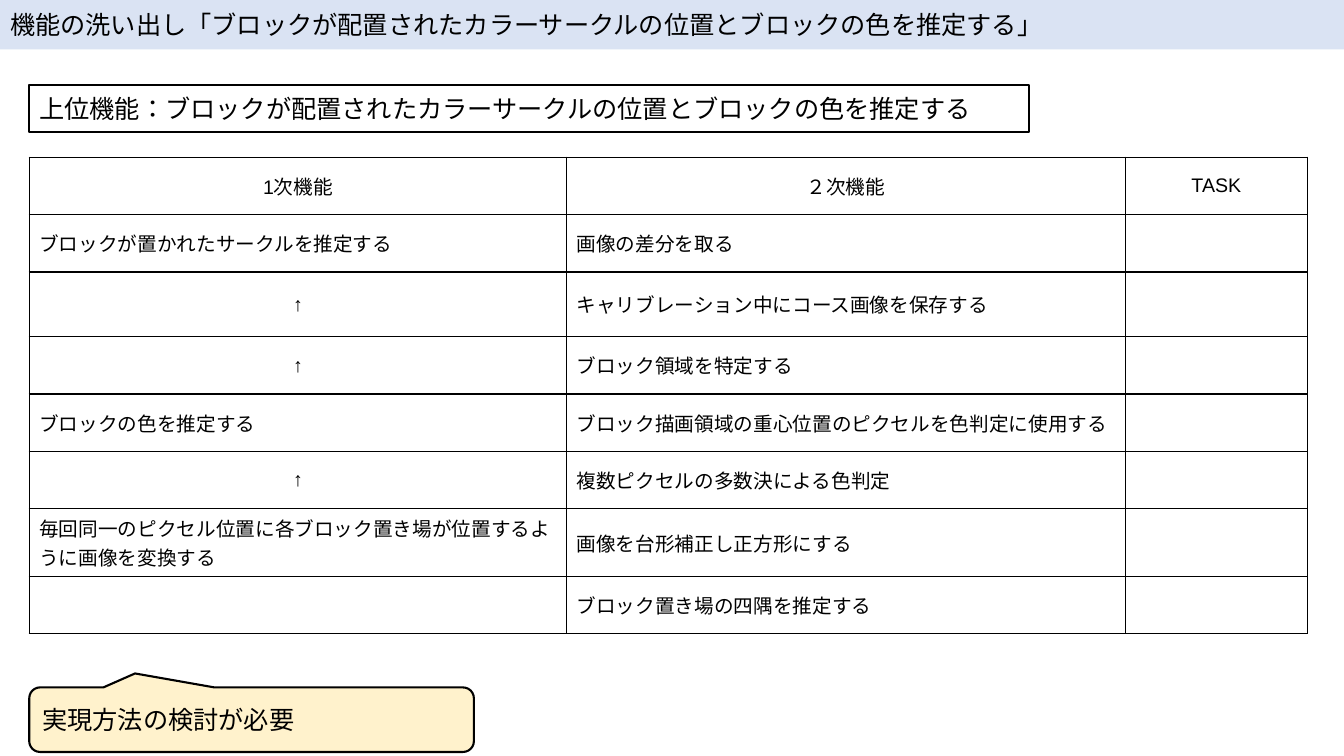
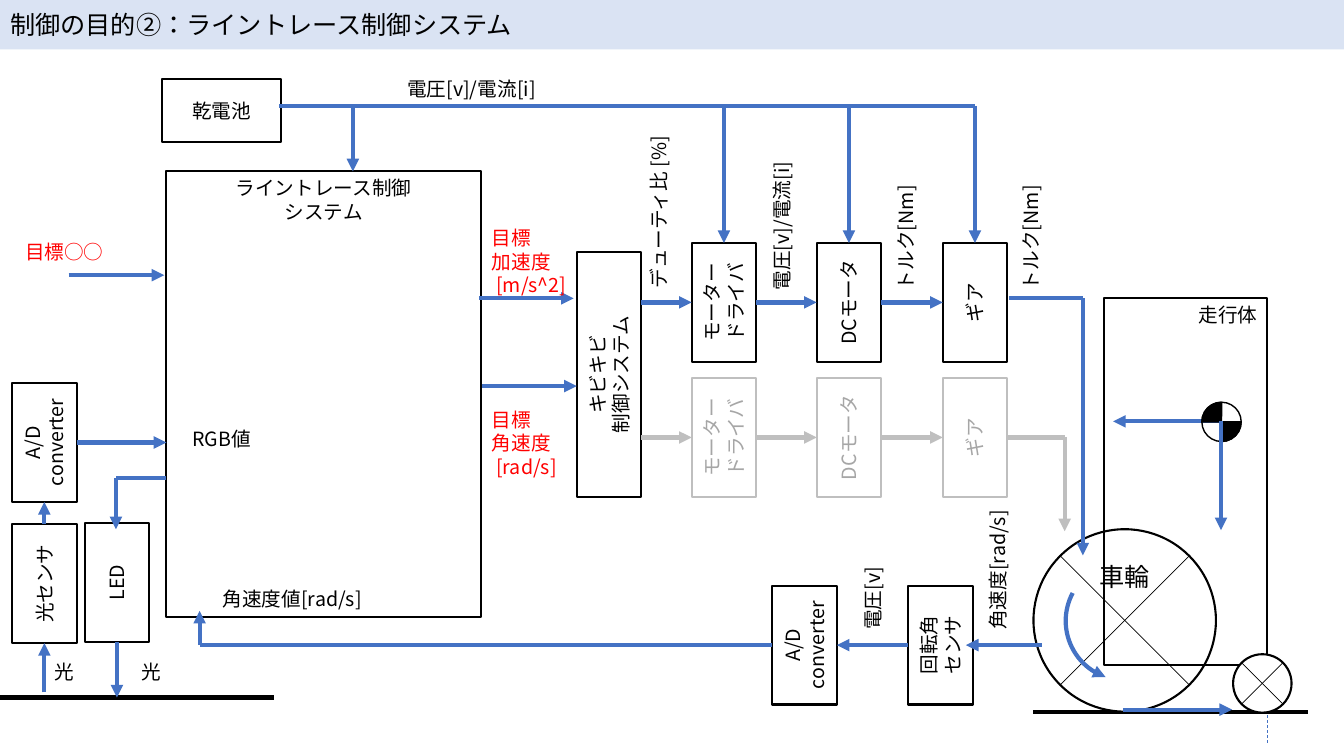
import dataclasses
import itertools
import typing

import lxml.etree
import pptx
import pptx.dml.color
import pptx.enum.dml
import pptx.enum.lang
import pptx.enum.shapes
import pptx.enum.text
import pptx.oxml.ns
import pptx.util

SHAPE = pptx.enum.shapes.MSO_SHAPE
ALIGN = pptx.enum.text.PP_ALIGN
ANCHOR = pptx.enum.text.MSO_ANCHOR
TOP, LEFT, BOTTOM, RIGHT = range(4)
PX = 9144  # 100 px to the inch
TITLE_ONLY = 5


@dataclasses.dataclass(frozen=True)
class Theme:
    black: str = "000000"
    white: str = "FFFFFF"
    band: str = "DAE3F3"
    note: str = "FFF2CC"
    signal: str = "4472C4"
    target: str = "FF0000"
    idle: str = "BFBFBF"
    idle_text: str = "A6A6A6"
    font: str = "Noto Sans CJK JP"
    table_font: str = "Arial"
    large: int = 18
    small: int = 14
    outline: float = 1.5
    hair: float = 0.5
    flow: int = 3


THEME = Theme()


class Joint(typing.NamedTuple):
    block: object
    site: int


# ---- Shared formatting ----
def px(*lengths):
    return [pptx.util.Emu(length * PX) for length in lengths]


def rgb(value):
    return pptx.dml.color.RGBColor.from_string(value)


def assign(target, values):
    for name, value in values.items():
        setattr(target, name, value)


def sub(parent, tag, **attributes):
    return lxml.etree.SubElement(parent, pptx.oxml.ns.qn(tag), attributes)


def paint(fill, color):
    if color is None:
        fill.background()
    else:
        fill.solid()
        fill.fore_color.rgb = rgb(color)


def write(frame, text, size=THEME.small, color=THEME.black, align=ALIGN.LEFT,
          anchor=ANCHOR.MIDDLE, font=THEME.font):
    assign(frame, {"word_wrap": True, "vertical_anchor": anchor})
    for index, words in enumerate(text.split("\n")):
        line = frame.add_paragraph() if index else frame.paragraphs[0]
        line.alignment = align
        run = line.add_run()
        run.text = words
        assign(run.font, {"name": font, "size": pptx.util.Pt(size),
                          "language_id":
                              pptx.enum.lang.MSO_LANGUAGE_ID.JAPANESE})
        run.font.color.rgb = rgb(color)
        sub(run.font._element, "a:ea", typeface=THEME.font)


@dataclasses.dataclass
class Region:
    """A part of a slide whose contents are placed from its corner."""
    slide: object
    left: int = 0
    top: int = 0

    def place(self, x, y, w, h):
        return px(self.left + x, self.top + y, w, h)

    def shape(self, box, kind=SHAPE.RECTANGLE, text="", fill=THEME.white,
              ink=THEME.black, width=THEME.outline, adjust=(), **style):
        figure = self.slide.shapes.add_shape(kind, *self.place(*box))
        figure.shadow.inherit = False
        paint(figure.fill, fill)
        paint(figure.line.fill, ink)
        figure.line.width = pptx.util.Pt(width)
        for index, value in enumerate(adjust):
            figure.adjustments[index] = value
        if text:
            write(figure.text_frame, text, **style)
        return figure

    def upright(self, x, y, text, height=118, **style):
        """A block whose text reads upwards."""
        block = self.shape((x, y, 64, height), text=text, align=ALIGN.CENTER,
                           **style)
        block.text_frame._txBody.bodyPr.set("vert", "vert270")
        return block

    def label(self, box, text, turn=0, color=THEME.black):
        caption = self.slide.shapes.add_textbox(*self.place(*box))
        caption.rotation = turn
        write(caption.text_frame, text, color=color)

    def line(self, *stops, ink=THEME.signal, width=THEME.flow, arrow=True,
             dash=None):
        """Straight segments through the stops; a stop is a point or a Joint."""
        for start, end in itertools.pairwise(stops):
            points = [(0, 0) if isinstance(stop, Joint) else
                      px(self.left + stop[0], self.top + stop[1])
                      for stop in (start, end)]
            segment = self.slide.shapes.add_connector(
                pptx.enum.shapes.MSO_CONNECTOR.STRAIGHT, *points[0], *points[1])
            if isinstance(start, Joint):
                segment.begin_connect(*start)
            if isinstance(end, Joint):
                segment.end_connect(*end)
            paint(segment.line.fill, ink)
            assign(segment.line, {"width": pptx.util.Pt(width),
                                  "dash_style": dash})
            if arrow and end is stops[-1]:
                sub(segment.line._get_or_add_ln(), "a:tailEnd", type="triangle")
            sub(segment._element.spPr, "a:effectLst")


def titled_slide(deck, text):
    slide = deck.slides.add_slide(deck.slide_layouts[TITLE_ONLY])
    title = slide.shapes.title
    box = dict(zip(("left", "top", "width", "height"), px(0, 0, 1333, 49)))
    assign(title, box)
    paint(title.fill, THEME.band)
    title.text_frame.auto_size = pptx.enum.text.MSO_AUTO_SIZE.NONE
    write(title.text_frame, text, size=THEME.large)
    return slide


# ---- Function list slide ----
ROWS = [
    ("1次機能", "２次機能", "TASK"),
    ("ブロックが置かれたサークルを推定する", "画像の差分を取る", ""),
    ("↑", "キャリブレーション中にコース画像を保存する", ""),
    ("↑", "ブロック領域を特定する", ""),
    ("ブロックの色を推定する",
     "ブロック描画領域の重心位置のピクセルを色判定に使用する", ""),
    ("↑", "複数ピクセルの多数決による色判定", ""),
    ("毎回同一のピクセル位置に各ブロック置き場が位置するように画像を変換する",
     "画像を台形補正し正方形にする", ""),
    ("", "ブロック置き場の四隅を推定する", ""),
]
COLUMNS = (533, 554, 181)
HEIGHTS = (57, 57, 64, 57, 57, 57, 64, 57)


def border(cell):
    properties = cell._tc.get_or_add_tcPr()
    for side in ("a:lnL", "a:lnR", "a:lnT", "a:lnB"):
        edge = sub(properties, side, w=str(pptx.util.Pt(1)))
        sub(sub(edge, "a:solidFill"), "a:srgbClr", val=THEME.black)


def function_table(region):
    table = region.slide.shapes.add_table(
        len(ROWS), len(COLUMNS),
        *region.place(0, 0, sum(COLUMNS), sum(HEIGHTS))).table
    assign(table, {"first_row": False, "horz_banding": False})
    for column, width in zip(table.columns, px(*COLUMNS)):
        column.width = width
    for row, height in zip(table.rows, px(*HEIGHTS)):
        row.height = height
    for r, row in enumerate(ROWS):
        for c, text in enumerate(row):
            cell = table.cell(r, c)
            border(cell)
            paint(cell.fill, None)
            cell.vertical_anchor = ANCHOR.MIDDLE
            centred = r == 0 or text == "↑"
            if text:
                write(cell.text_frame, text, font=THEME.table_font,
                      align=ALIGN.CENTER if centred else ALIGN.LEFT)


def function_slide(deck):
    goal = "ブロックが配置されたカラーサークルの位置とブロックの色を推定する"
    slide = titled_slide(deck, f"機能の洗い出し「{goal}」")
    function_table(Region(slide, 29, 156))
    page = Region(slide, 29, 84)
    page.shape((0, 0, 992, 47), text=f"上位機能：{goal}", size=THEME.large)
    page.shape((0, 598, 441, 64), SHAPE.ROUNDED_RECTANGULAR_CALLOUT,
               "実現方法の検討が必要", fill=THEME.note, size=THEME.large,
               adjust=(-0.262, -0.717, 0.167))


# ---- Control system slide ----
def wheel(region, x, y, size, text=""):
    region.shape((x, y, size, size), SHAPE.OVAL, text, size=THEME.large,
                 align=ALIGN.CENTER, anchor=ANCHOR.TOP)
    near, far = round(size * 0.146), round(size * 0.854)
    for first, last in ((far, near), (near, far)):
        region.line((x + near, y + first), (x + far, y + last),
                    ink=THEME.black, width=THEME.hair, arrow=False)


def vehicle(region):
    region.line((0, 410), (272, 410), ink=THEME.black, arrow=False)
    wheel(region, 0, 229, 181, "車輪")
    region.line((89, 408), (197, 408))
    region.line((232, 441), (232, 141), width=THEME.hair, arrow=False,
                dash=pptx.enum.dml.MSO_LINE.DASH)
    centre = (186, 122)
    region.line(centre, (79, 122))
    region.shape((70, 0, 162, 364), text="走行体", fill=None,
                 align=ALIGN.RIGHT, anchor=ANCHOR.TOP)
    # Centre of gravity
    for sweep, fill, turn in ((54.36, THEME.black, 0), (215.83, None, 0),
                              (54.36, THEME.black, 180)):
        region.shape((167, 103, 39, 39), SHAPE.PIE, fill=fill, width=1,
                     adjust=(0, sweep)).rotation = turn
    # Direction of rotation
    spin = region.shape((32, 261, 118, 118), SHAPE.ARC, fill=None,
                        ink=THEME.signal, width=THEME.flow,
                        adjust=(65.57, 124.8))
    sub(spin.line._get_or_add_ln(), "a:headEnd", type="triangle")
    region.line(centre, (186, 230))
    wheel(region, 198, 353, 58)


def controller(region):
    region.shape((0, 0, 312, 442), text="ライントレース制御\nシステム",
                 align=ALIGN.CENTER, anchor=ANCHOR.TOP)
    region.label((46, 409, 171, 29), "角速度値[rad/s]")
    region.label((16, 248, 113, 35), "RGB値")
    region.label((-150, 62, 113, 35), "目標○○", color=THEME.target)
    region.line((-97, 103), (-2, 103))


def drive_row(region, y, **style):
    stages = [region.upright(x, y, text, **style) for x, text in
              ((114, "モーター\nドライバ"), (238, "DCモータ"), (363, "ギア"))]
    ink = style.get("ink", THEME.signal)
    region.line((64, y + 59), Joint(stages[0], LEFT), ink=ink)
    for before, after in itertools.pairwise(stages):
        region.line(Joint(before, RIGHT), Joint(after, LEFT), ink=ink)
    return stages


def drive(region):
    region.upright(0, 9, "キビキビ\n制御システム", height=243)
    idle = drive_row(region, 134, fill=None, ink=THEME.idle,
                     color=THEME.idle_text)
    region.line(Joint(idle[-1], RIGHT), (484, 193), (484, 286), ink=THEME.idle)
    active = drive_row(region, 0)
    region.line((429, 55), (502, 55), (502, 310))
    for box, text in (((-13, -52, 189, 25), "デューティ比\u00a0[%]"),
                      ((120, -39, 167, 25), "電圧[v]/電流[i]"),
                      ((259, -21, 134, 21), "トルク[Nm]"),
                      ((383, -21, 134, 21), "トルク[Nm]")):
        region.label(box, text, turn=270)
    # Commands from the controller
    region.line((-97, 55), (-3, 55))
    region.line((-94, 142), (0, 142))
    for box, text in (((-94, -20, 118, 77), "目標\n加速度\n [m/s^2]"),
                      ((-94, 146, 112, 105), "目標\n角速度\n [rad/s]")):
        region.label(box, text, color=THEME.target)
    return active


def power(region, consumers):
    region.shape((0, 0, 118, 63), text="乾電池", align=ALIGN.CENTER)
    branch = 189
    region.line((116, 27), (branch, 27), (branch, 92))
    for stage in consumers:
        centre = round((stage.left + stage.width / 2) / PX) - region.left
        region.line((branch, 27), (centre, 27), Joint(stage, TOP))
        branch = centre
    region.label((233, -3, 167, 25), "電圧[v]/電流[i]")


def encoder(region):
    converter = region.upright(0, 0, "A/D\nconverter")
    sensor = region.upright(135, 0, "回転角\nセンサ")
    region.line((267, 59), (192, 59))
    region.line(Joint(sensor, LEFT), Joint(converter, RIGHT))
    region.line(Joint(converter, LEFT), (-568, 59), (-568, 25))
    for x, text in ((148, "角速度[rad/s]"), (25, "電圧[v]")):
        region.label((x, -36, 150, 29), text, turn=270)


def light_sensing(region):
    converter = region.upright(12, 0, "A/D\nconverter")
    sensor = region.upright(12, 140, "光センサ")
    led = region.upright(84, 139, "LED")
    region.line((0, 312), (272, 312), ink=THEME.black, arrow=False)
    region.line(Joint(converter, RIGHT), (165, 59))
    region.line((165, 94), (115, 94), (115, 145))
    region.line(Joint(led, BOTTOM), (116, 312))
    region.line((44, 307), Joint(sensor, BOTTOM))
    region.line(Joint(sensor, TOP), Joint(converter, BOTTOM))
    for x in (44, 131):
        region.label((x, 269, 56, 35), "光")


def control_slide(deck):
    slide = titled_slide(deck, "制御の目的②：ライントレース制御システム")
    vehicle(Region(slide, 1025, 296))
    controller(Region(slide, 165, 170))
    stages = drive(Region(slide, 572, 241))
    power(Region(slide, 161, 78), stages)
    encoder(Region(slide, 766, 581))
    light_sensing(Region(slide, 0, 380))


def main():
    deck = pptx.Presentation()
    assign(deck, dict(zip(("slide_width", "slide_height"), px(1333, 750))))
    function_slide(deck)
    control_slide(deck)
    deck.save("out.pptx")


if __name__ == "__main__":
    main()
